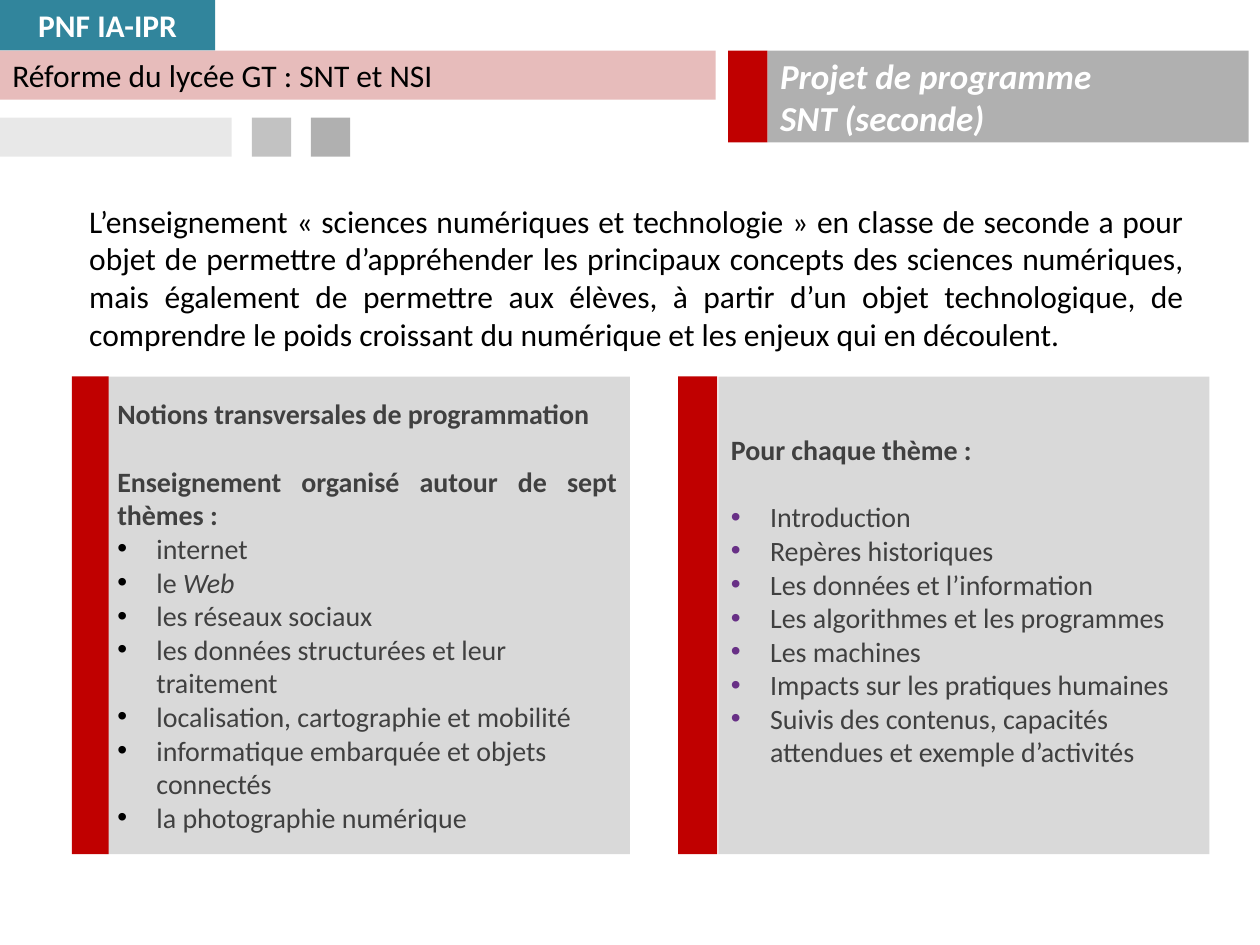
from lxml import etree
from pptx import Presentation
from pptx import util as u
from pptx.dml.color import RGBColor
from pptx.enum import shapes, text
from pptx.oxml import ns

HUES = {"red": "C00000", "teal": "31859C", "pink": "D99694", "black": "000000",
        "white": "FFFFFF", "panel": "D9D9D9", "ink": "404040", "violet": "683086"}
THEMES = ["internet", "le *Web*", "les réseaux sociaux",
          "les données structurées et leur traitement",
          "localisation, cartographie et mobilité",
          "informatique embarquée et objets connectés",
          "la photographie numérique"]
PARTS = ["Introduction", "Repères historiques", "Les données et l’information",
         "Les algorithmes et les programmes", "Les machines",
         "Impacts sur les pratiques humaines",
         "Suivis des contenus, capacités attendues et exemple d’activités"]
INTRO = ("L’enseignement « sciences numériques et technologie » en classe de seconde "
         "a pour objet de permettre d’appréhender les principaux concepts des sciences "
         "numériques, mais également de permettre aux élèves, à partir d’un objet "
         "technologique, de comprendre le poids croissant du numérique et les enjeux "
         "qui en découlent.")
ALIGN = text.PP_ALIGN


def paint(shape, hue, alpha=100):
    """Fill a shape with a named colour at the given opacity in percent."""
    shape.fill.solid()
    shape.fill.fore_color.rgb = RGBColor.from_string(HUES[hue])
    if alpha < 100:
        clr = shape.fill._xPr.find(".//" + ns.qn("a:srgbClr"))
        etree.SubElement(clr, ns.qn("a:alpha"), val=str(alpha * 1000))


def place(shape, left, top, width, height):
    """Move a shape to a box in centimetres."""
    shape.left, shape.top = u.Cm(left), u.Cm(top)
    shape.width, shape.height = u.Cm(width), u.Cm(height)


def block(slide, box, hue, alpha=100):
    """Add a plain rectangle."""
    shape = slide.shapes.add_shape(shapes.MSO_SHAPE.RECTANGLE, *map(u.Cm, box))
    shape.shadow.inherit = False
    shape.line.fill.background()
    paint(shape, hue, alpha)
    return shape


def setup(frame, anchor=text.MSO_ANCHOR.MIDDLE):
    """Wrap a text frame at fixed size."""
    frame.word_wrap = True
    frame.auto_size = text.MSO_AUTO_SIZE.NONE
    frame.vertical_anchor = anchor


def style(para, size, hue, bold=False, italic=False, align=ALIGN.LEFT, before=0):
    """Format a paragraph and all its runs."""
    para.alignment = align
    para.space_before = u.Pt(before)
    for run in para.runs:
        font = run.font
        font.name, font.size, font.bold = "Calibri", u.Pt(size), bold
        font.italic = italic
        font.color.rgb = RGBColor.from_string(HUES[hue])


def mark(para, hue=None):
    """Give a paragraph a coloured bullet, or none."""
    props = para._p.get_or_add_pPr()
    dent = u.Cm(0.79) if hue else 0
    props.set("marL", str(dent))
    props.set("indent", str(-dent))
    if not hue:
        etree.SubElement(props, ns.qn("a:buNone"))
        return
    clr = etree.SubElement(props, ns.qn("a:buClr"))
    etree.SubElement(clr, ns.qn("a:srgbClr"), val=HUES[hue])
    etree.SubElement(props, ns.qn("a:buFont"), typeface="Arial")
    etree.SubElement(props, ns.qn("a:buChar"), char="•")


def label(slide, box, words, fill, alpha, hue, bold, align):
    """Add a rectangle with one line of text."""
    shape = block(slide, box, fill, alpha)
    setup(shape.text_frame)
    shape.text_frame.text = words
    style(shape.text_frame.paragraphs[0], 18, hue, bold, align=align)


def header(slide, left, top):
    """Build the banner with its labels, squares and title."""
    title = slide.shapes.title
    place(title, left + 15.47, top + 1.02, 9.7, 1.85)
    paint(title, "black", 31)
    setup(title.text_frame)
    title.text_frame.text = "Projet de programme\nSNT (seconde)"
    for para in title.text_frame.paragraphs:
        style(para, 20, "white", True, True)
    block(slide, (left + 14.68, top + 1.02, 0.79, 1.85), "red")
    label(slide, (left, top, 4.34, 1.02), "PNF IA-IPR",
          "teal", 100, "white", True, ALIGN.CENTER)
    label(slide, (left, top + 1.02, 14.43, 0.99), "Réforme du lycée GT : SNT et NSI",
          "pink", 63, "black", False, ALIGN.LEFT)
    for step, width, alpha in ((0, 4.67, 9), (5.08, 0.79, 24), (6.27, 0.79, 31)):
        block(slide, (left + step, top + 2.37, width, 0.79), "black", alpha)


def intro(slide, *box):
    """Add the justified opening paragraph."""
    frame = slide.shapes.add_textbox(*map(u.Cm, box)).text_frame
    setup(frame, text.MSO_ANCHOR.TOP)
    frame.text = INTRO
    style(frame.paragraphs[0], 18, "black", align=ALIGN.JUSTIFY, before=3.6)


def panel(slide, body, box, bar, gap, heads, items, dot, align, foot=0.13):
    """Build a grey list panel with a red bar on its left."""
    left, top, width, height = box
    place(body, left + gap, top, width - gap, height)
    paint(body, "panel")
    block(slide, (left, top, bar, height), "red")
    frame = body.text_frame
    setup(frame)
    frame.margin_bottom = u.Cm(foot)
    frame.text = "\n".join(heads + items)
    for rank, para in enumerate(frame.paragraphs):
        head = rank < len(heads)
        bits = para.text.split("*")
        para.text = bits[0]
        for bit in bits[1:]:
            para.add_run().text = bit
        wide = rank == 1 and (head or len(heads) == 1)
        style(para, 16, "ink", head, align=align if head else ALIGN.LEFT,
              before=19.5 if wide else 0)
        for run in para.runs[1::2]:
            run.font.italic = True
        mark(para, None if head else dot)


def main():
    """Build and save the slide."""
    deck = Presentation()
    deck.slide_width, deck.slide_height = u.Cm(25.4), u.Cm(19.05)
    slide = deck.slides.add_slide(deck.slide_layouts[3])
    themes, parts = slide.placeholders[1], slide.placeholders[2]
    header(slide, 0, 0)
    intro(slide, 1.55, 3.94, 22.58, 3.38)
    panel(slide, themes, (1.45, 7.59, 11.25, 9.63), 0.74, 0.66,
          ["Notions transversales de programmation",
           "Enseignement organisé autour de sept thèmes :"],
          THEMES, "black", ALIGN.JUSTIFY)
    panel(slide, parts, (13.67, 7.59, 10.71, 9.63), 0.79, 0.81,
          ["Pour chaque thème :"], PARTS, "violet", ALIGN.LEFT, 0.73)
    deck.save("out.pptx")


if __name__ == "__main__":
    main()
